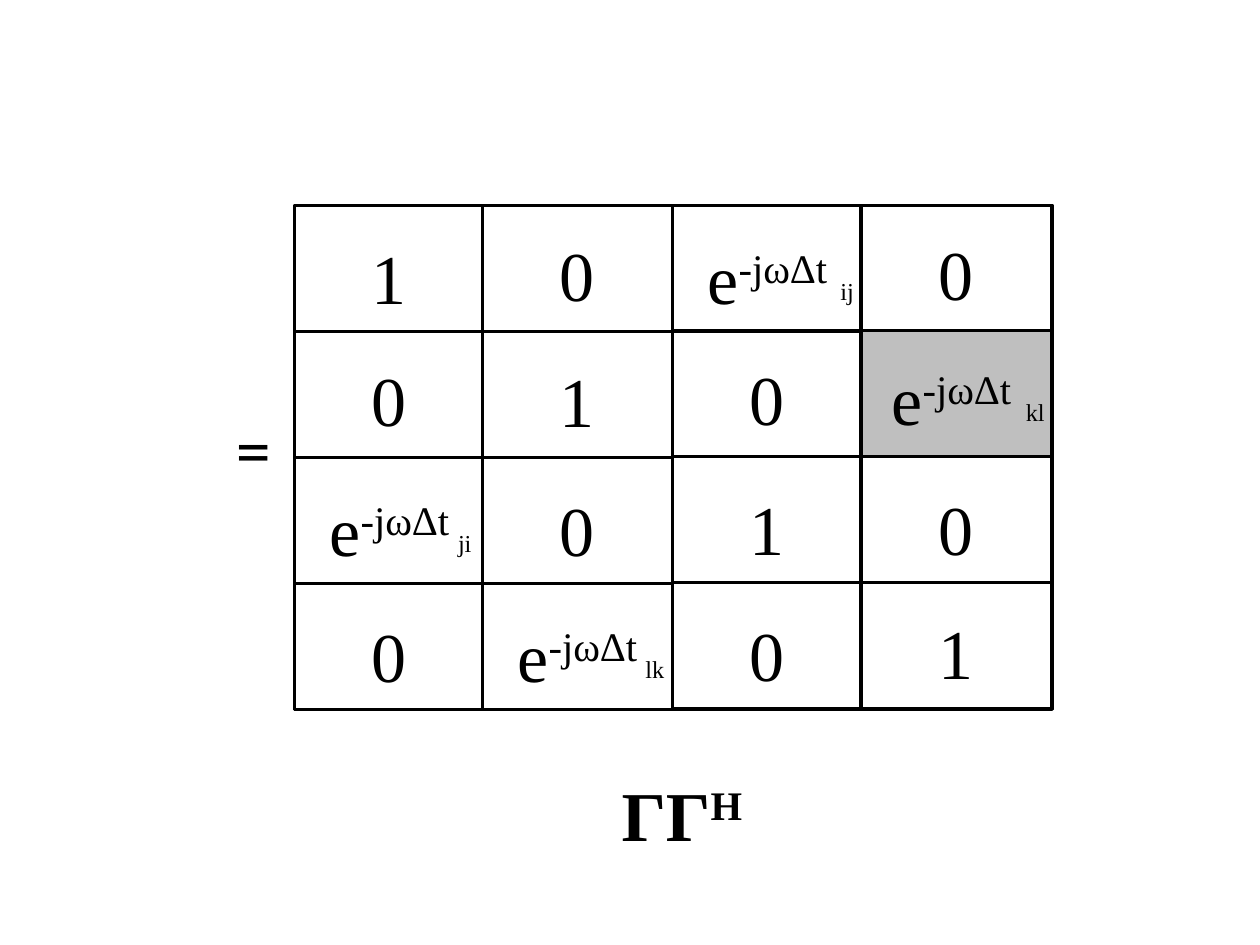
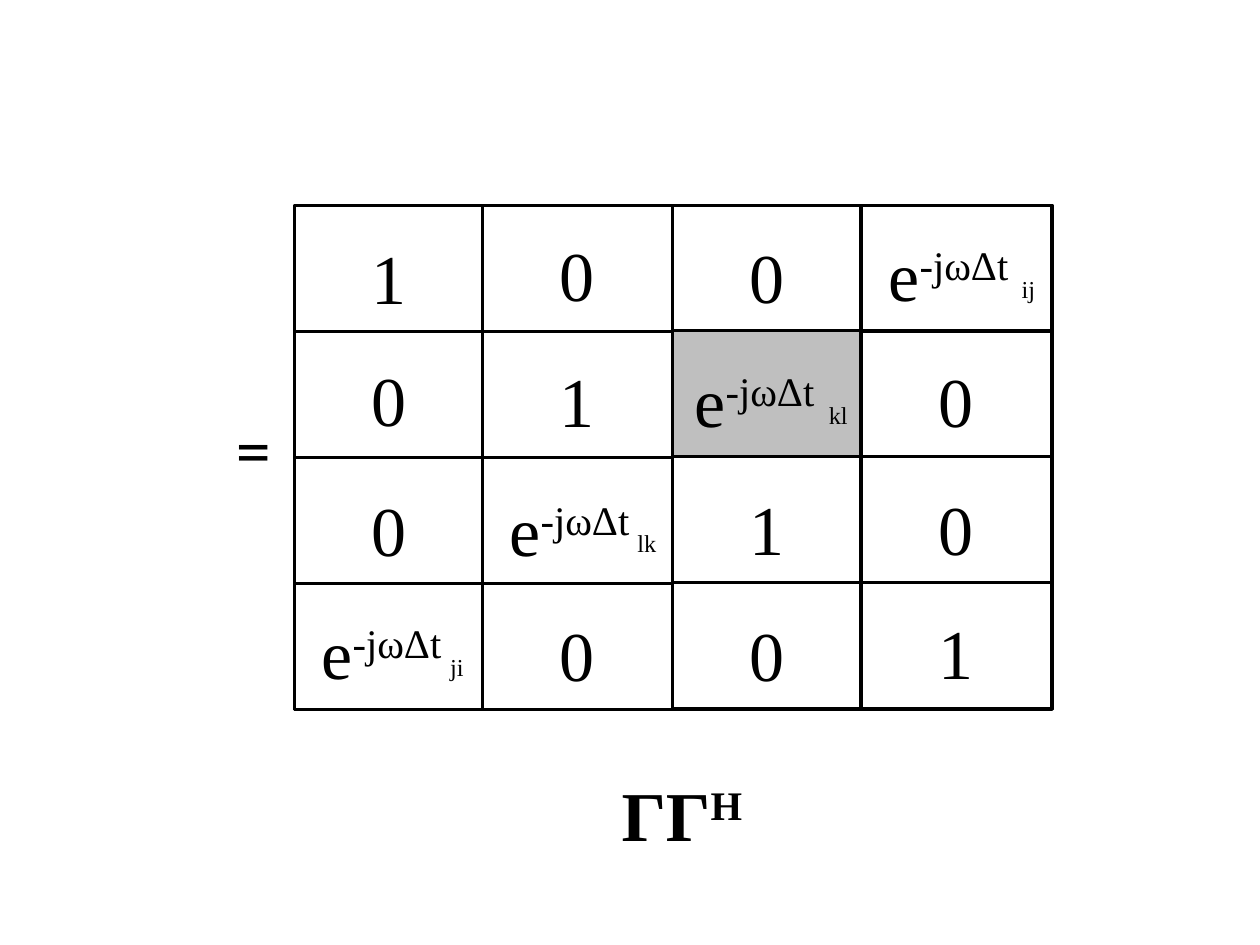
from pptx import Presentation
from pptx import util as u
from pptx.dml.color import RGBColor
from pptx.enum import shapes, text

Cm, Pt = u.Cm, u.Pt
HUES = {"ink": "000000", "mark": "BFBFBF"}
SERIF, SANS = "Times New Roman", "Calibri"
LEFTS = (5.94, 9.73, 13.56, 17.37)
WIDTHS = (3.79, 3.83, 3.79, 3.83)
TOP, PITCH = 4.14, 2.54
LABELS = {"ij": (0, 3.07), "ji": (0, 2.98), "lk": (0, 3.02), "kl": (-0.1, 3.15)}

SLIDES = (
    {
        "cells": (("1", "0", "ij", "0"), ("0", "1", "0", "kl"),
                  ("ji", "0", "1", "0"), ("0", "lk", "0", "1")),
        "drops": ((0.3, 0.25, 0.3, 0.23), (0.23, 0.25, 0.2, 0.2),
                  (0.3, 0.3, 0.28, 0.28), (0.3, 0.3, 0.28, 0.25)),
        "shift": -0.39,
    },
    {
        "cells": (("1", "0", "0", "ij"), ("0", "1", "kl", "0"),
                  ("0", "lk", "1", "0"), ("ji", "0", "0", "1")),
        "drops": ((0.3, 0.25, 0.28, 0.25), (0.23, 0.25, 0.25, 0.25),
                  (0.3, 0.3, 0.28, 0.28), (0.25, 0.28, 0.28, 0.25)),
        "shift": -0.55,
    },
)


def write(para, words, size=40, face=SERIF, bold=False, base=0):
    run = para.add_run()
    run.text = words
    font = run.font
    font.size, font.name, font.bold = Pt(size), face, bold
    font.color.rgb = RGBColor.from_string(HUES["ink"])
    if base:
        font._element.set("baseline", str(base * 1000))


class Deck:
    def __init__(self):
        self.prs = Presentation()
        self.prs.slide_width, self.prs.slide_height = Cm(25.4), Cm(19.05)
        self.slide = None

    def page(self):
        self.slide = self.prs.slides.add_slide(self.prs.slide_layouts[6])

    def rect(self, x, y, w, h, line=1.5, fill=None):
        box = self.slide.shapes.add_shape(
            shapes.MSO_SHAPE.RECTANGLE, Cm(x), Cm(y), Cm(w), Cm(h))
        box.shadow.inherit = False
        box.line.width = Pt(line)
        box.line.color.rgb = RGBColor.from_string(HUES["ink"])
        if fill:
            box.fill.solid()
            box.fill.fore_color.rgb = RGBColor.from_string(HUES[fill])
        else:
            box.fill.background()

    def label(self, x, y, w, words, power="", h=1.96, lift=0.15, **style):
        box = self.slide.shapes.add_textbox(Cm(x), Cm(y), Cm(w), Cm(h))
        frame = box.text_frame
        frame.word_wrap = True
        frame.vertical_anchor = text.MSO_ANCHOR.TOP
        frame.margin_top, frame.margin_bottom = Cm(0.13 + lift), 0
        para = frame.paragraphs[0]
        para.alignment = text.PP_ALIGN.CENTER
        write(para, words, **style)
        if power:
            write(para, power, **{**style, "base": 30})

    def phase(self, x, y, sub):
        nudge, gap = LABELS[sub]
        self.label(x + nudge, y, 4.6, "e", "-jωΔt")
        self.label(x + nudge + gap, y + 0.34, 1.68, sub,
                   h=0.94, lift=0.09, size=24, base=-25)

    def matrix(self, cells, drops, shift):
        self.rect(LEFTS[0], TOP, 15.27, 4 * PITCH, line=2)
        for row, names in enumerate(cells):
            for col, name in enumerate(names):
                rise = 0.02 if row and col > 1 else 0
                self.rect(LEFTS[col], TOP + row * PITCH - rise, WIDTHS[col], PITCH,
                          fill="mark" if name == "kl" else None)
        for row, names in enumerate(cells):
            for col, name in enumerate(names):
                y = TOP + row * PITCH + drops[row][col]
                if name in LABELS:
                    self.phase(LEFTS[col] + shift, y, name)
                else:
                    self.label(LEFTS[col] + 0.89, y, 2.03, name)


def main():
    deck = Deck()
    for data in SLIDES:
        deck.page()
        deck.matrix(**data)
        deck.label(11.84, 15.27, 3.81, "ΓΓ", "H", bold=True)
        deck.label(4.09, 8.05, 2.03, "=", lift=0, face=SANS)
    deck.prs.save("out.pptx")


if __name__ == "__main__":
    main()
